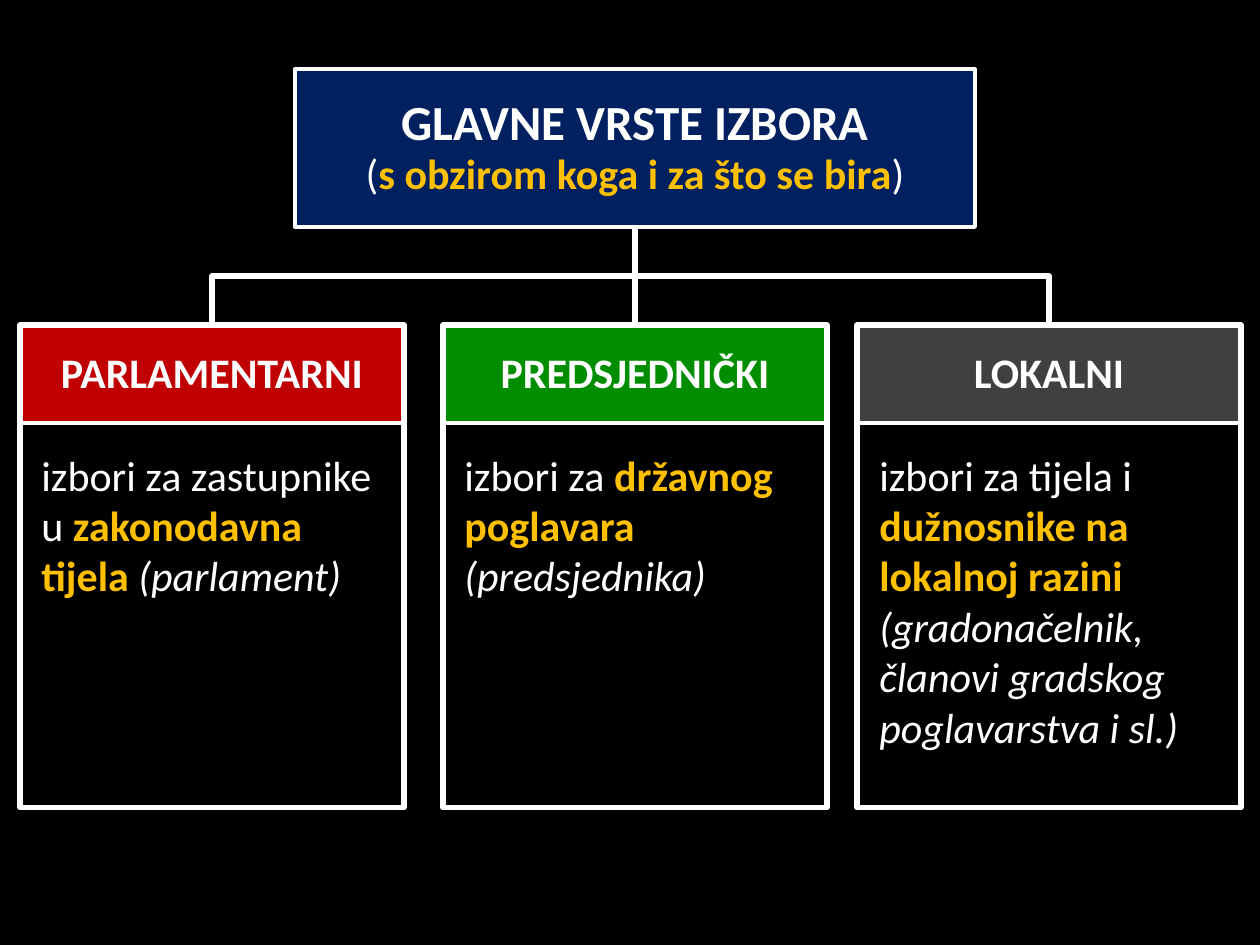
"""Build a slide that charts the main kinds of elections."""
from dataclasses import dataclass

import lxml.etree
import pptx
import pptx.dml.color
import pptx.enum.shapes
import pptx.enum.text
import pptx.oxml.ns
import pptx.util

PX = 914400 // 126
WHITE, GOLD = "FFFFFF", "FFC000"
BRANCH_TOP, BRANCH_WIDTH, HEADING_HEIGHT, FRAME_HEIGHT = 325, 384, 98, 483
BOTTOM, TOP = 2, 0


@dataclass(frozen=True)
class Span:
    text: str
    color: str = WHITE
    bold: bool = False
    italic: bool = False
    size: int = 24


@dataclass(frozen=True)
class Branch:
    heading: str
    fill: str
    left: int
    text_inset: int
    text_height: int
    description: tuple[Span, ...]


BRANCHES = (
    Branch("PARLAMENTARNI", "C00000", 20, 9, 165, (
        Span("izbori za zastupnike u "),
        Span("zakonodavna tijela ", GOLD, bold=True),
        Span("(parlament)", italic=True),
    )),
    Branch("PREDSJEDNIČKI", "008E00", 443, 9, 165, (
        Span("izbori za "),
        Span("državnog poglavara ", GOLD, bold=True),
        Span("(predsjednika)", italic=True),
    )),
    Branch("LOKALNI", "404040", 857, 10, 318, (
        Span("izbori za tijela i "),
        Span("dužnosnike na lokalnoj razini ", GOLD, bold=True),
        Span("(gradonačelnik, članovi gradskog poglavarstva i sl.)", italic=True),
    )),
)


def rgb(color: str) -> pptx.dml.color.RGBColor:
    """Turn a hex string into a colour."""
    return pptx.dml.color.RGBColor.from_string(color)


def outline(line, width: float) -> None:
    """Give a line its white colour and its width in points."""
    line.color.rgb = rgb(WHITE)
    line.width = pptx.util.Pt(width)


def write(paragraph, spans: tuple[Span, ...]) -> None:
    """Add formatted runs to a paragraph."""
    paragraph.font.name = "Calibri"
    for span in spans:
        run = paragraph.add_run()
        run.text = span.text
        run.font.size = pptx.util.Pt(span.size)
        run.font.bold, run.font.italic = span.bold, span.italic
        run.font.color.rgb = rgb(span.color)


def format_box(box, fill: str):
    """Fill and outline a box and return its centred paragraph."""
    box.shadow.inherit = False
    box.fill.solid()
    box.fill.fore_color.rgb = rgb(fill)
    outline(box.line, 2.25)
    box.text_frame.word_wrap = True
    box.text_frame.auto_size = pptx.enum.text.MSO_AUTO_SIZE.NONE
    box.text_frame.vertical_anchor = pptx.enum.text.MSO_ANCHOR.MIDDLE
    paragraph = box.text_frame.paragraphs[0]
    paragraph.alignment = pptx.enum.text.PP_ALIGN.CENTER
    paragraph.line_spacing = 0.93
    return paragraph


def add_title(slide):
    """Place the title box at the root of the chart."""
    title = slide.shapes.title
    title.left, title.top, title.width, title.height = (
        value * PX for value in (295, 69, 680, 158))
    paragraph = format_box(title, "002060")
    write(paragraph, (Span("GLAVNE VRSTE IZBORA", bold=True, size=28),))
    paragraph.add_line_break()
    write(paragraph, (
        Span("("),
        Span("s obzirom koga i za što se bira", GOLD, bold=True),
        Span(")"),
    ))
    return title


def add_rectangle(slide, left: int, height: int):
    """Add a rectangle of branch width at the top of the branches."""
    return slide.shapes.add_shape(
        pptx.enum.shapes.MSO_SHAPE.RECTANGLE,
        left * PX, BRANCH_TOP * PX, BRANCH_WIDTH * PX, height * PX)


def turn_elbow(connector) -> None:
    """Turn an elbow so that it leaves and arrives vertically."""
    leftward = connector.end_x < connector.begin_x
    width, height = connector.width, connector.height
    shift = (width - height) // 2
    connector.left, connector.top = connector.left + shift, connector.top - shift
    connector.width, connector.height = height, width
    transform = connector._element.spPr.find(pptx.oxml.ns.qn("a:xfrm"))
    transform.set("rot", str((90 if leftward else 270) * 60000))
    transform.set("flipH", "0" if leftward else "1")


def connect(slide, title, heading) -> None:
    """Join the title to a branch heading."""
    kinds = pptx.enum.shapes.MSO_CONNECTOR
    offset = heading.left + heading.width // 2 - title.left - title.width // 2
    straight = abs(offset) < PX
    connector = slide.shapes.add_connector(
        kinds.STRAIGHT if straight else kinds.ELBOW, 0, 0, 0, 0)
    connector.begin_connect(title, BOTTOM)
    connector.end_connect(heading, TOP)
    if not straight:
        turn_elbow(connector)
    outline(connector.line, 3)
    lxml.etree.SubElement(
        connector._element.spPr, pptx.oxml.ns.qn("a:effectLst"))


def add_branch(slide, title, branch: Branch) -> None:
    """Draw one branch with its heading, description and frame."""
    heading = add_rectangle(slide, branch.left, HEADING_HEIGHT)
    write(format_box(heading, branch.fill), (Span(branch.heading, bold=True),))
    connect(slide, title, heading)

    description = slide.shapes.add_textbox(
        (branch.left + branch.text_inset) * PX, 443 * PX,
        364 * PX, branch.text_height * PX)
    description.text_frame.word_wrap = True
    description.text_frame.auto_size = pptx.enum.text.MSO_AUTO_SIZE.SHAPE_TO_FIT_TEXT
    paragraph = description.text_frame.paragraphs[0]
    paragraph.space_before = pptx.util.Pt(6)
    write(paragraph, branch.description)

    frame = add_rectangle(slide, branch.left, FRAME_HEIGHT)
    frame.shadow.inherit = False
    frame.fill.background()
    outline(frame.line, 3)


def main() -> None:
    """Build and save the presentation."""
    presentation = pptx.Presentation()
    presentation.slide_width = pptx.util.Inches(10)
    presentation.slide_height = pptx.util.Inches(7.5)
    slide = presentation.slides.add_slide(presentation.slide_layouts[5])
    slide.background.fill.solid()
    slide.background.fill.fore_color.rgb = rgb("000000")
    title = add_title(slide)
    for branch in BRANCHES:
        add_branch(slide, title, branch)
    presentation.save("out.pptx")


if __name__ == "__main__":
    main()
